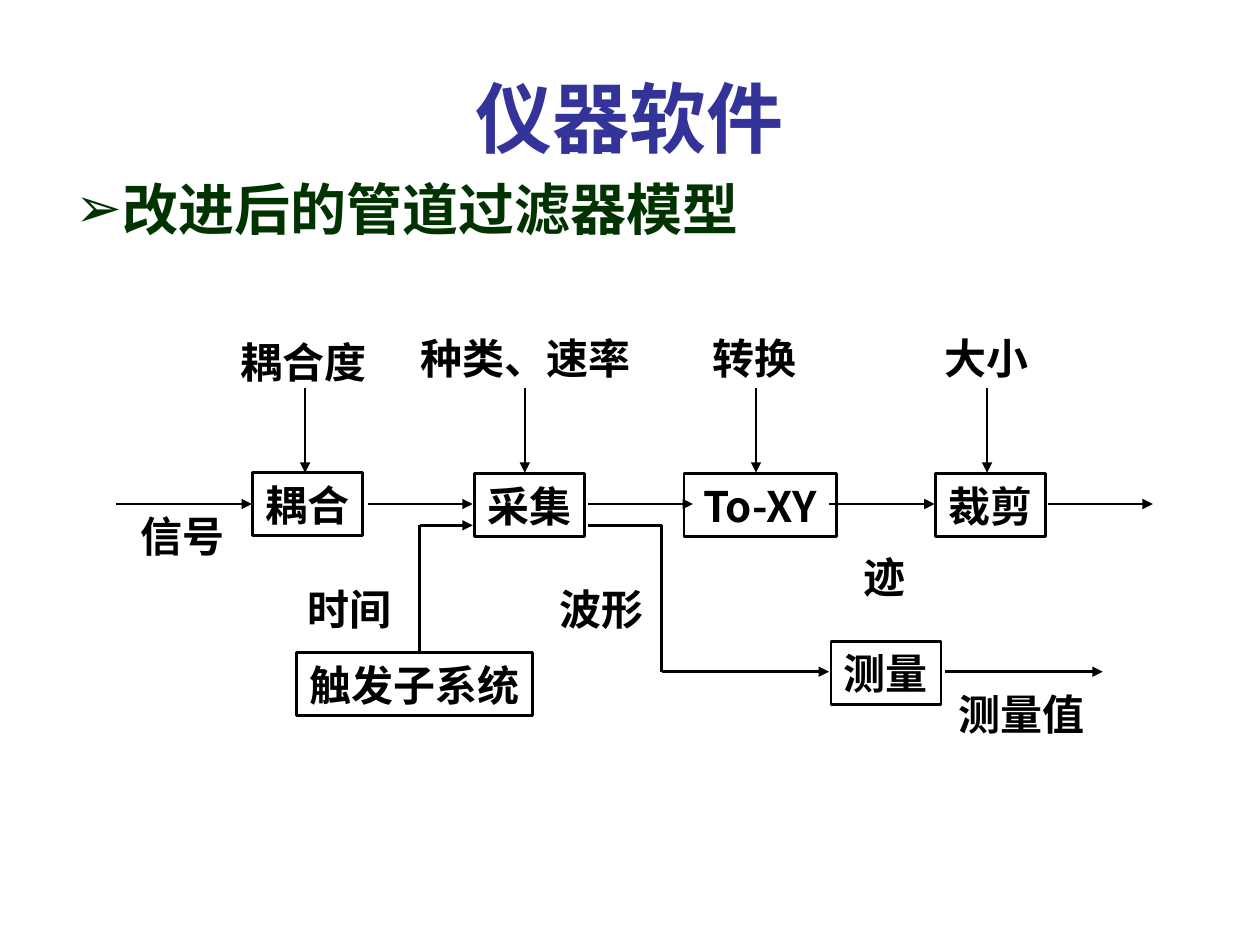
from lxml.etree import SubElement
from pptx import Presentation
from pptx.dml.color import RGBColor
from pptx.enum.shapes import MSO_CONNECTOR, MSO_SHAPE
from pptx.enum.text import MSO_ANCHOR, MSO_AUTO_SIZE, PP_ALIGN
from pptx.oxml.ns import qn
from pptx.util import Cm, Pt

CJK = "Noto Sans CJK SC"
BLACK, WHITE, BLUE, GREEN = "000000", "FFFFFF", "333399", "003300"
HIGH = 1.27
ONE, TWO, THREE, FIVE = 1.37, 2.22, 3.07, 4.76
MAIN, SIDE, LOW = 10.16, 10.59, 13.54

BOXES = [
    ("耦合", 5.09, 9.53, TWO),
    ("采集", 9.56, 9.55, TWO),
    ("To-XY", 13.79, 9.55, THREE),
    ("裁剪", 18.86, 9.55, TWO),
    ("触发子系统", 5.98, 13.16, FIVE),
    ("测量", 16.75, 12.93, TWO),
]
INPUTS = [
    ("耦合度", 4.59, 6.66, THREE),
    ("种类、速率", 8.21, 6.58, FIVE),
    ("转换", 14.11, 6.58, TWO),
    ("大小", 18.78, 6.58, TWO),
]
LABELS = [
    ("信号", 2.57, 10.16, TWO),
    ("时间", 5.93, 11.63, TWO),
    ("波形", 11.01, 11.63, TWO),
    ("迹", 17.15, 11, ONE),
    ("测量值", 19.06, 13.76, THREE),
]
FLOWS = [(2.33, 5.08), (7.41, 9.53), (11.85, 13.97), (16.72, 18.84), (21.13, 23.24)]
DROPS = [6.15, 10.58, 15.24, 19.9]
STEMS = [
    (8.46, SIDE, 8.46, 13.13),
    (11.85, SIDE, 13.34, SIDE),
    (13.34, SIDE, 13.34, LOW),
]
TURNS = [
    (8.46, SIDE, 9.53, SIDE),
    (13.34, LOW, 16.71, LOW),
    (19.05, LOW, 22.23, LOW),
]


def color(code):
    """Turn a hex string into a colour."""
    return RGBColor.from_string(code)


def apply(item, values):
    """Set each named value on the item."""
    for name, value in values.items():
        setattr(item, name, value)


def write(shape, text, size, font=CJK, code=BLACK, align=PP_ALIGN.CENTER, **frame):
    """Put one bold paragraph into a shape."""
    apply(shape.text_frame, frame)
    para = shape.text_frame.paragraphs[0]
    para.alignment = align
    run = para.add_run()
    run.text = text
    apply(run.font, {"name": font, "size": Pt(size), "bold": True})
    run.font.color.rgb = color(code)
    SubElement(run.font._element, qn("a:ea"), typeface=CJK)
    return para


def label(shape, text):
    """Write a diagram label that fits its shape."""
    write(shape, text, 24, vertical_anchor=MSO_ANCHOR.MIDDLE,
          word_wrap=False, auto_size=MSO_AUTO_SIZE.SHAPE_TO_FIT_TEXT)


def add_text(slide, text, left, top, width):
    """Add a free label."""
    label(slide.shapes.add_textbox(Cm(left), Cm(top), Cm(width), Cm(HIGH)), text)


def add_box(slide, text, left, top, width, code=BLACK, weight=1.5):
    """Add an outlined box with a label."""
    box = slide.shapes.add_shape(
        MSO_SHAPE.RECTANGLE, Cm(left), Cm(top), Cm(width), Cm(HIGH))
    box.shadow.inherit = False
    box.fill.background()
    box.line.color.rgb = color(code)
    box.line.width = Pt(weight)
    label(box, text)


def add_line(slide, ends, arrow=True):
    """Add a straight line, with an arrowhead if asked."""
    line = slide.shapes.add_connector(MSO_CONNECTOR.STRAIGHT, *map(Cm, ends))
    line.line.color.rgb = color(BLACK)
    line.line.width = Pt(1.5)
    if arrow:
        SubElement(line.line._get_or_add_ln(), qn("a:tailEnd"), type="triangle")
    SubElement(line._element.spPr, qn("a:effectLst"))


def add_title(slide, text):
    """Place and fill the title."""
    title = slide.shapes.title
    apply(title, {"left": Cm(1.27), "top": Cm(0.76),
                  "width": Cm(22.86), "height": Cm(3.18)})
    write(title, text, 44, "Arial", BLUE, vertical_anchor=MSO_ANCHOR.MIDDLE)


def add_point(slide, text):
    """Add the bulleted heading line."""
    body = slide.shapes.add_textbox(Cm(1.27), Cm(3.39), Cm(23.5), Cm(1.9))
    para = write(body, text, 32, "Arial", GREEN, PP_ALIGN.LEFT, word_wrap=True)
    props = para._element.get_or_add_pPr()
    props.set("marL", str(Cm(0.95)))
    props.set("indent", str(Cm(-0.95)))
    tint = SubElement(props, qn("a:buClr"))
    SubElement(tint, qn("a:srgbClr"), val=GREEN)
    SubElement(props, qn("a:buFont"), typeface="Arial")
    SubElement(props, qn("a:buChar"), char="➢")


def main():
    """Build the slide and save it."""
    deck = Presentation()
    apply(deck, {"slide_width": Cm(25.4), "slide_height": Cm(19.05)})
    slide = deck.slides.add_slide(deck.slide_layouts[5])
    add_point(slide, "改进后的管道过滤器模型")
    add_title(slide, "仪器软件")
    for box in BOXES:
        add_box(slide, *box)
    for item in INPUTS:
        add_box(slide, *item, code=WHITE, weight=0.75)
    for item in LABELS:
        add_text(slide, *item)
    flows = [(start, MAIN, end, MAIN) for start, end in FLOWS]
    drops = [(x, 7.83, x, 9.53) for x in DROPS]
    for ends in flows + drops + TURNS:
        add_line(slide, ends)
    for ends in STEMS:
        add_line(slide, ends, arrow=False)
    deck.save("out.pptx")


if __name__ == "__main__":
    main()
